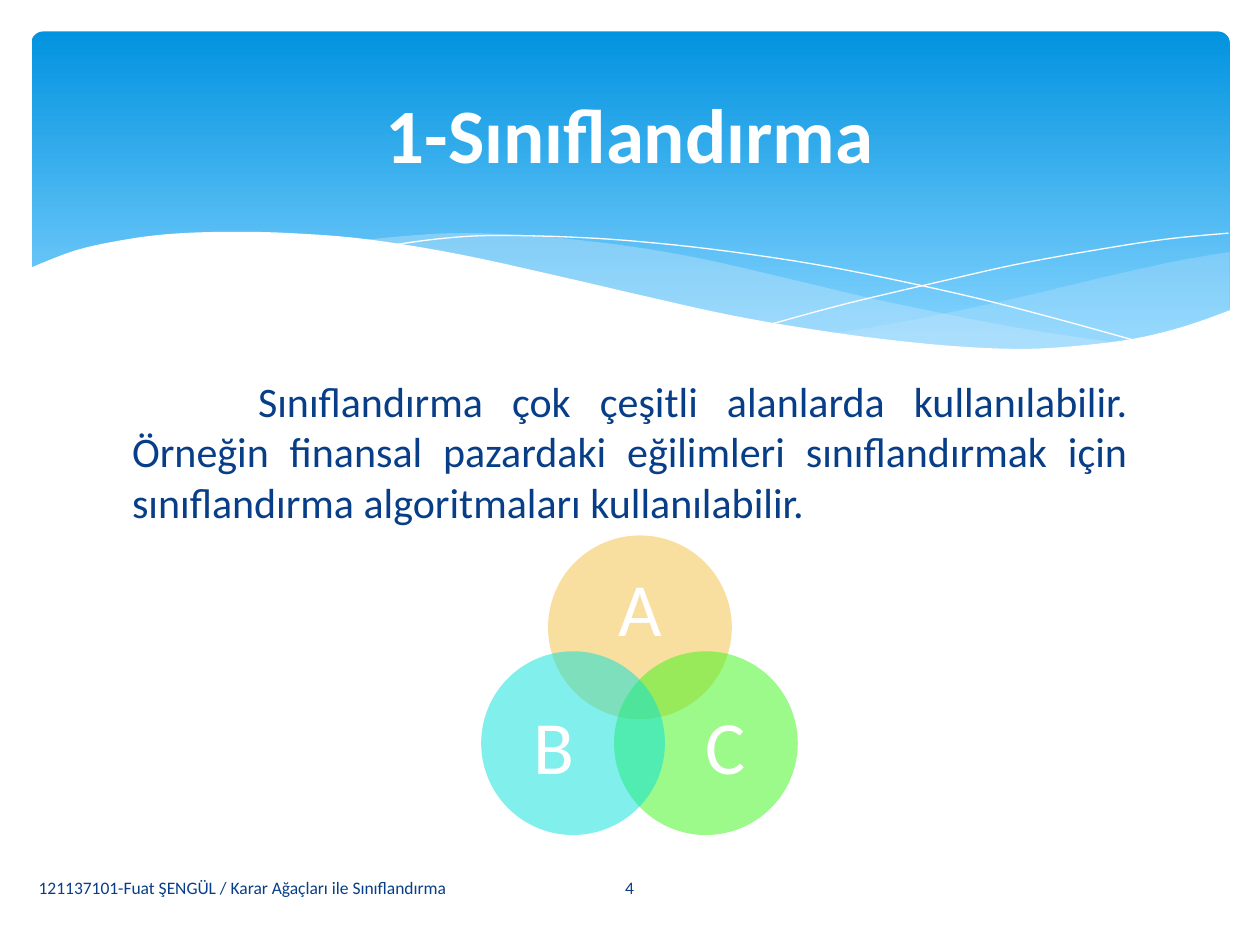
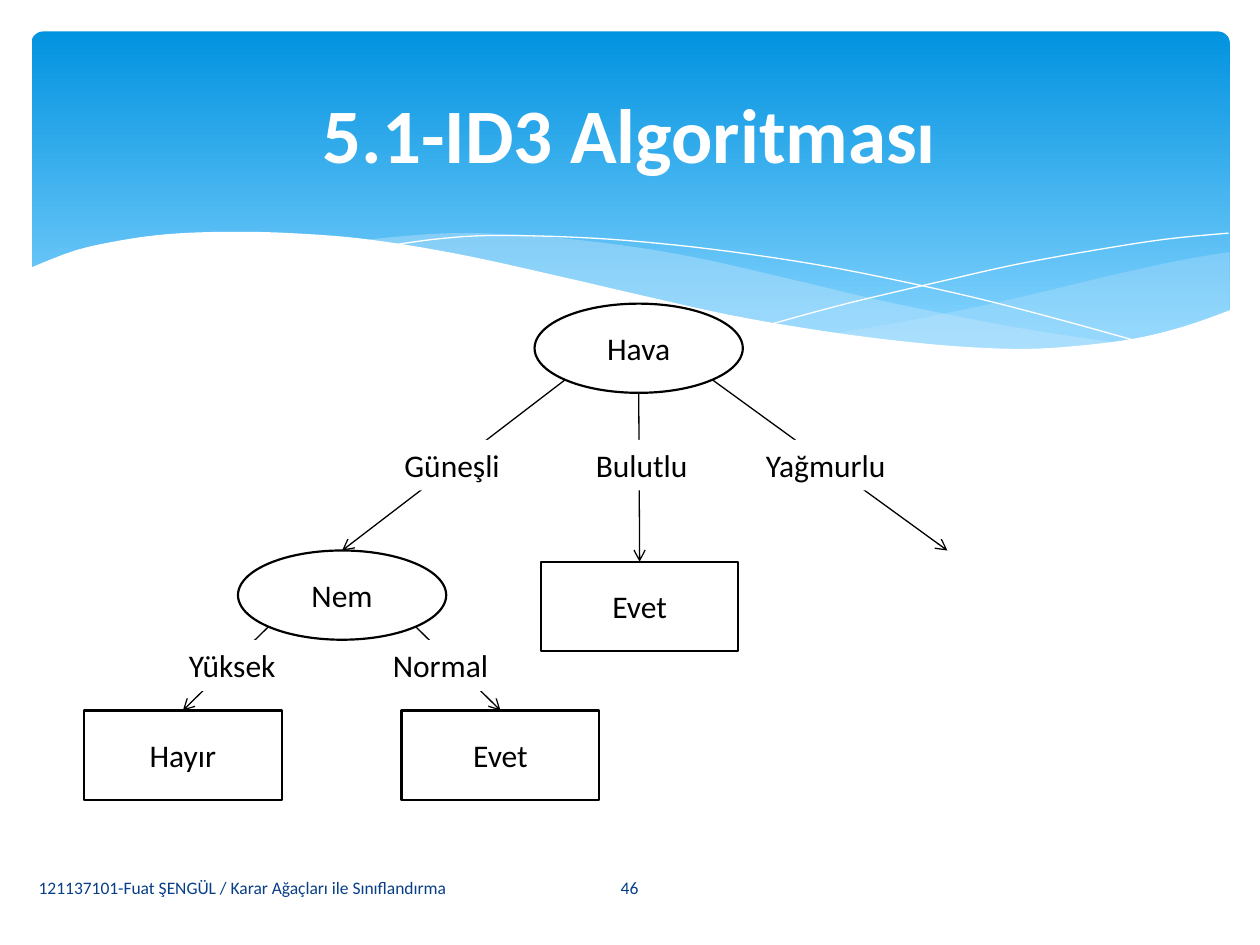
from dataclasses import dataclass
from math import sqrt

from lxml import etree
from pptx import Presentation
from pptx.dml.color import RGBColor
from pptx.enum.shapes import MSO_CONNECTOR, MSO_SHAPE
from pptx.enum.text import MSO_ANCHOR, PP_ALIGN
from pptx.oxml.ns import qn
from pptx.util import Pt

OVAL, RECTANGLE, ROUNDED = MSO_SHAPE.OVAL, MSO_SHAPE.RECTANGLE, MSO_SHAPE.ROUNDED_RECTANGLE
STRAIGHT = MSO_CONNECTOR.STRAIGHT
LEFT, CENTER, JUSTIFY = PP_ALIGN.LEFT, PP_ALIGN.CENTER, PP_ALIGN.JUSTIFY
TOP, MIDDLE = MSO_ANCHOR.TOP, MSO_ANCHOR.MIDDLE
TOP_SITE = 0


@dataclass(frozen=True)
class Theme:
    font: str = "Calibri"
    white: str = "FFFFFF"
    black: str = "000000"
    navy: str = "073E87"
    band_top: str = "0293E0"
    band_bottom: str = "83D3FE"
    ribbon: str = "C6E7FC"
    amber: str = "F5C040"
    green: str = "3AF617"
    cyan: str = "05E0DB"
    title_size: float = 44
    set_size: float = 43
    body_size: float = 24
    node_size: float = 18
    footer_size: float = 10
    outline: float = 1.25
    arrow: float = 0.75


FOOTER = "121137101-Fuat ŞENGÜL / Karar Ağaçları ile Sınıflandırma"

# Knots of the band's curves, in points.
RIGHT_RIBBON = [
    [(702.7, 144), (673.2, 149), (630.7, 158.4), (579.6, 170.6), (524.9, 182.2), (475.9, 190.8)],
    [(475.9, 190.8), (517.7, 195.8), (553.7, 199.4), (586.1, 200.2), (614.9, 198.7),
     (645.8, 194.4), (673.2, 188.6), (702.7, 177.8)],
]
LEFT_RIBBON = [
    [(643, 196.6), (581, 187.2), (508.3, 172.8), (452.9, 159.8), (399.6, 147.6),
     (352.1, 139.7), (302.4, 134.6), (259.9, 133.2), (225.4, 135.4), (205.9, 137.5)],
    [(205.9, 137.5), (246.2, 143.3), (290.9, 151.9), (323.3, 159.8), (381.6, 172.8),
     (432.7, 183.6), (478.8, 191.5), (519.8, 197.3), (556.6, 199.4), (589, 200.2),
     (617, 199.4), (643, 196.6)],
]
FALLING_STRAND = [
    (222.5, 140.4), (247.7, 136.8), (278.6, 134.6), (324, 135.4), (367.2, 138.2),
    (419, 144), (478.8, 153.4), (547.2, 167.8), (598.3, 180.7), (653, 195.8)]
RISING_STRAND = [
    (441.4, 185), (483.8, 173.5), (538.6, 160.6), (580.3, 151.2), (623.5, 143.3),
    (665.3, 136.8), (702, 133.2)]
WAVE = [
    (703.4, 177.1), (676.8, 186.5), (647.3, 193.7), (612, 198), (582.5, 199.4),
    (547.9, 198), (509.8, 194.4), (466.6, 188.6), (416.9, 180), (362.2, 167.8),
    (321.8, 158.4), (262.8, 145.4), (210.2, 136.8), (165.6, 133.2), (127.4, 132.5),
    (95, 133.9), (68.4, 137.5), (42.5, 143.3), (16.6, 153.4)]
WAVE_FOOT = [(16.6, 236.9), (703.4, 236.9)]


def smooth_curve(knots, steps=5):
    """Return points on a Catmull-Rom spline through the knots."""
    padded = [knots[0], *knots, knots[-1]]
    points = [knots[0]]
    for before, start, end, after in zip(padded, padded[1:], padded[2:], padded[3:]):
        for step in range(1, steps + 1):
            t = step / steps
            points.append(tuple(
                (2 * b + (c - a) * t + (2 * a - 5 * b + 4 * c - d) * t ** 2
                 + (3 * b - a - 3 * c + d) * t ** 3) / 2
                for a, b, c, d in zip(before, start, end, after)))
    return points


def lower_diagonal(oval, side):
    """Return the point at 45 degrees below the oval's centre; side is -1 or 1."""
    x = oval.left.pt + oval.width.pt / 2 * (1 + side / sqrt(2))
    y = oval.top.pt + oval.height.pt / 2 * (1 + 1 / sqrt(2))
    return x, y


def bottom_middle(shape):
    return shape.left.pt + shape.width.pt / 2, shape.top.pt + shape.height.pt


def top_middle(shape):
    return shape.left.pt + shape.width.pt / 2, shape.top.pt


class Deck:
    def __init__(self, theme):
        self.theme = theme
        self.presentation = Presentation()
        self.presentation.slide_width = Pt(720)
        self.presentation.slide_height = Pt(540)
        self.slide = None

    def new_slide(self, title, number):
        theme = self.theme
        self.slide = self.presentation.slides.add_slide(self.presentation.slide_layouts[6])
        self.band()
        self.text(FOOTER, (15, 492.5, 298, 29), theme.footer_size, theme.navy, LEFT)
        self.text(number, (314, 492.5, 91.5, 29), theme.footer_size, theme.navy)
        self.text(title, (36, 26.6, 648, 98.6), theme.title_size, theme.white, bold=True)

    def band(self):
        theme = self.theme
        band = self.shape(ROUNDED, (18, 18, 684.7, 194.4), theme.band_top)
        band.adjustments[0] = 0.034
        band.fill.gradient()
        band.fill.gradient_angle = 270
        stops = zip(band.fill.gradient_stops, (0, 0.9), (theme.band_top, theme.band_bottom))
        for stop, position, color in stops:
            stop.position = position
            stop.color.rgb = RGBColor.from_string(color)
        for edges, opacity in ((RIGHT_RIBBON, 29), (LEFT_RIBBON, 40)):
            outline = [point for edge in edges for point in smooth_curve(edge)]
            self.freeform(outline, fill=theme.ribbon, opacity=opacity)
        for strand in (FALLING_STRAND, RISING_STRAND):
            self.freeform(smooth_curve(strand), line=theme.white)
        self.freeform(smooth_curve(WAVE) + WAVE_FOOT, fill=theme.white)

    def paint(self, shape, fill=None, opacity=100, line=None, line_width=0):
        shape.shadow.inherit = False
        if fill:
            shape.fill.solid()
            shape.fill.fore_color.rgb = RGBColor.from_string(fill)
            if opacity < 100:
                color = shape._element.spPr.find(qn("a:solidFill")).find(qn("a:srgbClr"))
                etree.SubElement(color, qn("a:alpha"), val=str(opacity * 1000))
        else:
            shape.fill.background()
        if line:
            shape.line.color.rgb = RGBColor.from_string(line)
            shape.line.width = Pt(line_width)
        else:
            shape.line.fill.background()

    def shape(self, kind, box, fill=None, **paint):
        shape = self.slide.shapes.add_shape(kind, *map(Pt, box))
        self.paint(shape, fill, **paint)
        return shape

    def freeform(self, points, fill=None, opacity=100, line=None):
        start, *rest = [(Pt(x), Pt(y)) for x, y in points]
        builder = self.slide.shapes.build_freeform(*start)
        builder.add_line_segments(rest, close=fill is not None)
        self.paint(builder.convert_to_shape(), fill, opacity, line)

    def set_text(self, shape, text, size, color, align=CENTER, anchor=MIDDLE, bold=False):
        frame = shape.text_frame
        frame.word_wrap = True
        frame.vertical_anchor = anchor
        frame.text = text
        paragraph = frame.paragraphs[0]
        paragraph.alignment = align
        font = paragraph.runs[0].font
        font.name, font.size, font.bold = self.theme.font, Pt(size), bold
        font.color.rgb = RGBColor.from_string(color)
        return paragraph

    def text(self, text, box, size, color, align=CENTER, **style):
        text_box = self.slide.shapes.add_textbox(*map(Pt, box))
        return self.set_text(text_box, text, size, color, align, **style)

    def venn_set(self, name, circle_corner, label_corner, color):
        self.shape(OVAL, (*circle_corner, 105, 105), color, opacity=50)
        label = self.slide.shapes.add_textbox(*map(Pt, (*label_corner, 63, 58)))
        frame = label.text_frame
        frame.margin_left = frame.margin_right = frame.margin_top = frame.margin_bottom = 0
        paragraph = self.set_text(label, name, self.theme.set_size, self.theme.white)
        paragraph.line_spacing = 0.9

    def node(self, kind, text, left, top):
        width = 119 if kind == OVAL else 113
        node = self.shape(kind, (left, top, width, 51),
                          line=self.theme.black, line_width=self.theme.outline)
        self.set_text(node, text, self.theme.node_size, self.theme.black)
        return node

    def arrow(self, start, end, target=None):
        connector = self.slide.shapes.add_connector(STRAIGHT, *map(Pt, (*start, *end)))
        if target is not None:
            connector.end_connect(target, TOP_SITE)
        connector.line.color.rgb = RGBColor.from_string(self.theme.black)
        connector.line.width = Pt(self.theme.arrow)
        line = connector._element.spPr.find(qn("a:ln"))
        etree.SubElement(line, qn("a:tailEnd"), type="arrow")
        etree.SubElement(connector._element.spPr, qn("a:effectLst"))

    def branch_label(self, text, left, top, width):
        label = self.shape(RECTANGLE, (left, top, width, 29), self.theme.white)
        self.set_text(label, text, self.theme.node_size, self.theme.black, LEFT, TOP)
        label.text_frame.word_wrap = False


def classification_slide(deck):
    theme = deck.theme
    deck.new_slide("1-Sınıflandırma", "4")
    paragraph = deck.text(
        "Sınıflandırma çok çeşitli alanlarda kullanılabilir. Örneğin finansal pazardaki "
        "eğilimleri sınıflandırmak için sınıflandırma algoritmaları kullanılabilir.",
        (68.4, 211, 583.2, 286), theme.body_size, theme.navy, JUSTIFY, anchor=TOP)
    paragraph._p.get_or_add_pPr().set("indent", str(Pt(72)))
    deck.venn_set("A", (313.2, 306), (334.2, 321), theme.amber)
    deck.venn_set("C", (350.9, 372.2), (383, 399.6), theme.green)
    deck.venn_set("B", (275, 372.2), (285, 399.6), theme.cyan)


def decision_tree_slide(deck):
    deck.new_slide("5.1-ID3 Algoritması", "46")
    weather = deck.node(OVAL, "Hava", 305.5, 173.5)
    humidity = deck.node(OVAL, "Nem", 136, 314.6)
    cloudy_yes = deck.node(RECTANGLE, "Evet", 309, 321)
    high_no = deck.node(RECTANGLE, "Hayır", 48, 406)
    normal_yes = deck.node(RECTANGLE, "Evet", 229.5, 406)

    for start, target in (
        (lower_diagonal(weather, -1), humidity),
        (bottom_middle(weather), cloudy_yes),
        (lower_diagonal(humidity, -1), high_no),
        (lower_diagonal(humidity, 1), normal_yes),
    ):
        deck.arrow(start, top_middle(target), target)
    deck.arrow(lower_diagonal(weather, 1), (541.4, 314.6))

    for top, labels in (
        (251.3, (("Güneşli", 224, 70.6), ("Bulutlu", 333.4, 69), ("Yağmurlu", 430.6, 88))),
        (365.8, (("Yüksek", 100.8, 68.4), ("Normal", 217.4, 71.3))),
    ):
        for text, left, width in labels:
            deck.branch_label(text, left, top, width)


def main():
    deck = Deck(Theme())
    classification_slide(deck)
    decision_tree_slide(deck)
    deck.presentation.save("out.pptx")


if __name__ == "__main__":
    main()
